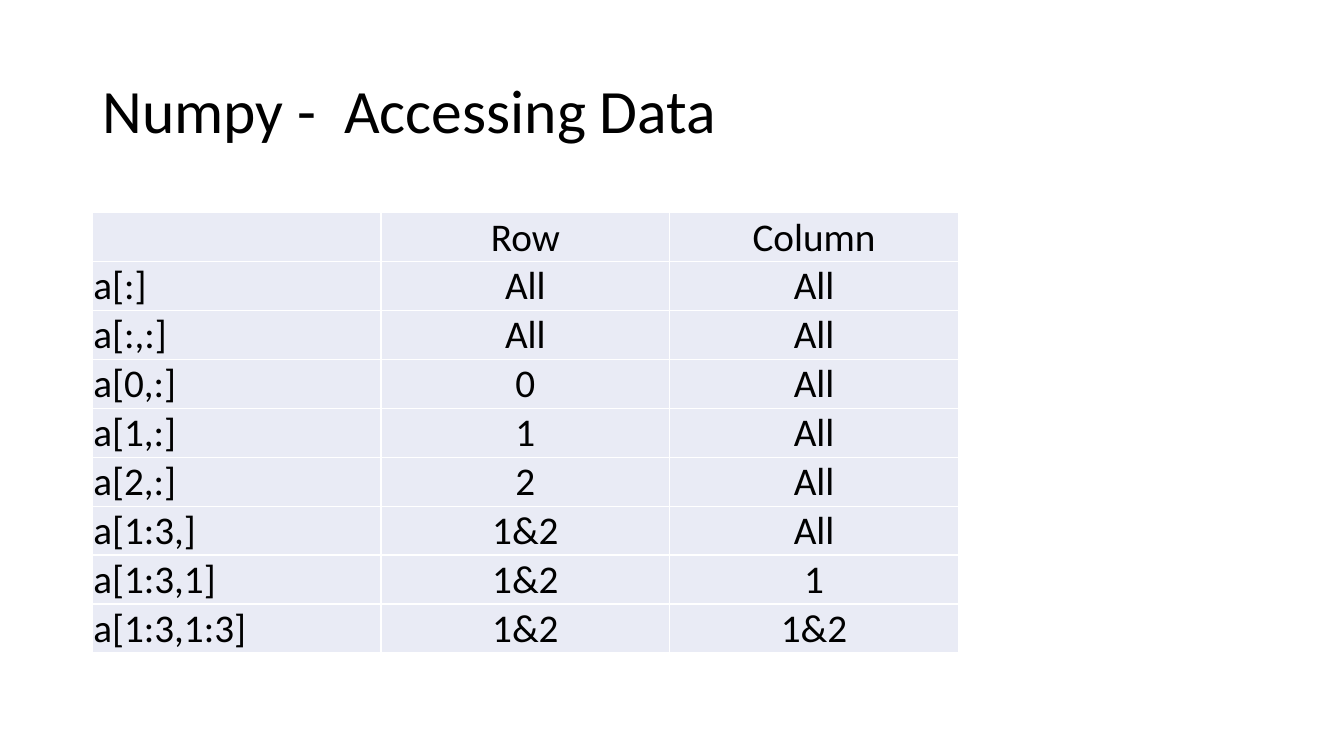
from lxml.etree import SubElement
from pptx import Presentation
from pptx.dml.color import RGBColor
from pptx.enum.text import MSO_ANCHOR as Anchor, PP_ALIGN as Align
from pptx.oxml.ns import qn
from pptx.util import Pt

BLACK = RGBColor(0x00, 0x00, 0x00)
WHITE = RGBColor(0xFF, 0xFF, 0xFF)
LAVENDER = RGBColor(0xE9, 0xEB, 0xF5)

INDEXING = [
    ("", "Row", "Column"),
    ("a[:]", "All", "All"),
    ("a[:,:]", "All", "All"),
    ("a[0,:]", "0", "All"),
    ("a[1,:]", "1", "All"),
    ("a[2,:]", "2", "All"),
    ("a[1:3,]", "1&2", "All"),
    ("a[1:3,1]", "1&2", "1"),
    ("a[1:3,1:3]", "1&2", "1&2"),
]


class SlideBuilder:
    font_name = "Calibri"
    title_size = 44
    cell_size = 28

    def __init__(self, deck):
        self.slide = deck.slides.add_slide(deck.slide_layouts[5])

    def format_text(self, paragraph, size, align):
        paragraph.alignment = align
        for run in paragraph.runs:
            run.font.name = self.font_name
            run.font.size = Pt(size)
            run.font.color.rgb = BLACK

    def title(self, text, left, top, width, height):
        heading = self.slide.shapes.title
        heading.left, heading.top = Pt(left), Pt(top)
        heading.width, heading.height = Pt(width), Pt(height)
        frame = heading.text_frame
        frame.text = text
        frame.vertical_anchor = Anchor.MIDDLE
        frame.paragraphs[0].line_spacing = 0.9
        self.format_text(frame.paragraphs[0], self.title_size, Align.LEFT)

    def borders(self, cell):
        properties = cell._tc.get_or_add_tcPr()
        for side in ("a:lnL", "a:lnR", "a:lnT", "a:lnB"):
            line = SubElement(properties, qn(side), w=str(Pt(1)))
            fill = SubElement(line, qn("a:solidFill"))
            SubElement(fill, qn("a:srgbClr"), val=str(WHITE))

    def cell(self, cell, text, align, anchor):
        self.borders(cell)
        cell.fill.solid()
        cell.fill.fore_color.rgb = LAVENDER
        cell.margin_left = cell.margin_right = cell.margin_top = Pt(0.7)
        cell.margin_bottom = Pt(0)
        cell.vertical_anchor = anchor
        if text:
            cell.text_frame.text = text
            self.format_text(cell.text_frame.paragraphs[0], self.cell_size, align)

    def table(self, rows, left, top, width, height):
        grid = self.slide.shapes.add_table(
            len(rows), len(rows[0]), Pt(left), Pt(top), Pt(width), Pt(height)
        ).table
        grid.first_row = False
        grid.horz_banding = False
        for r, row in enumerate(rows):
            for c, text in enumerate(row):
                align = Align.CENTER if c else Align.LEFT
                anchor = Anchor.MIDDLE if r and c else Anchor.BOTTOM
                self.cell(grid.cell(r, c), text, align, anchor)


def main():
    deck = Presentation()
    deck.slide_width, deck.slide_height = Pt(960), Pt(540)
    builder = SlideBuilder(deck)
    builder.title("Numpy -  Accessing Data", 66, 28.75, 828, 104.4)
    builder.table(INDEXING, 66, 152, 618.6, 309)
    deck.save("out.pptx")


if __name__ == "__main__":
    main()
